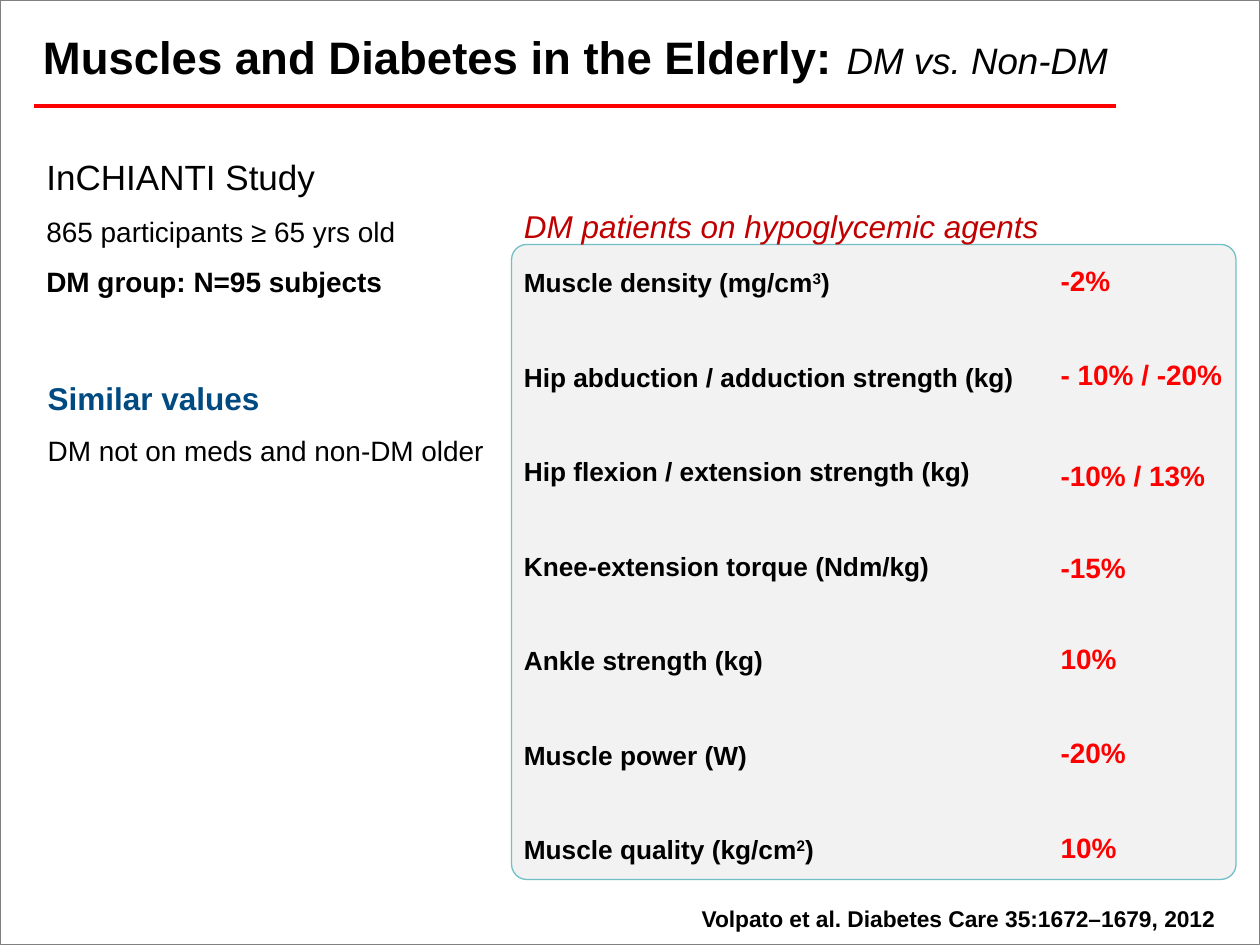
import dataclasses

import pptx
import pptx.dml.color
import pptx.enum.shapes
import pptx.enum.text
import pptx.oxml
import pptx.oxml.ns
import pptx.util


@dataclasses.dataclass(frozen=True)
class Theme:
    font: str = "Arial"
    ink: str = "000000"
    accent: str = "FF0000"
    heading: str = "004A82"
    caption: str = "C00000"
    panel: str = "F2F2F2"
    panel_edge: str = "72BFC5"
    frame: str = "808080"
    title_size: int = 26
    subtitle_size: int = 21
    study_size: int = 20
    heading_size: int = 18
    body_size: int = 16
    measure_size: int = 15
    citation_size: int = 13
    loose: float = 1.5


THEME = Theme()
COLUMNS, ROWS = 100, 75


def rgb(value):
    return pptx.dml.color.RGBColor.from_string(value)


def add_text(paragraph, text, size=THEME.body_size, color=THEME.ink,
             bold=False, italic=False, raised=False):
    run = paragraph.add_run()
    run.text = text
    run.font.name = THEME.font
    run.font.size = pptx.util.Pt(size)
    run.font.color.rgb = rgb(color)
    run.font.bold = bold
    run.font.italic = italic
    if raised:
        run.font._element.set("baseline", "30000")


class SlideBuilder:
    def __init__(self, deck, theme):
        self.theme = theme
        self.column = deck.slide_width / COLUMNS
        self.row = deck.slide_height / ROWS
        self.slide = deck.slides.add_slide(deck.slide_layouts[5])

    def place(self, left, top, width, height):
        return (round(left * self.column), round(top * self.row),
                round(width * self.column), round(height * self.row))

    def title(self, area, runs):
        heading = self.slide.shapes.title
        heading.left, heading.top, heading.width, heading.height = self.place(*area)
        self.fill_frame(heading.text_frame, [(runs, 0)], 1)

    def fill_frame(self, frame, lines, spacing):
        frame.word_wrap = True
        frame.auto_size = pptx.enum.text.MSO_AUTO_SIZE.NONE
        frame.vertical_anchor = pptx.enum.text.MSO_ANCHOR.TOP
        for index, (runs, gap) in enumerate(lines):
            paragraph = frame.add_paragraph() if index else frame.paragraphs[0]
            paragraph.alignment = pptx.enum.text.PP_ALIGN.LEFT
            paragraph.line_spacing = spacing
            paragraph.space_before = pptx.util.Pt(gap)
            for text, style in runs:
                add_text(paragraph, text, **style)

    def text(self, area, lines, spacing=THEME.loose):
        box = self.slide.shapes.add_textbox(*self.place(*area))
        self.fill_frame(box.text_frame, lines, spacing)

    def panel(self, area, kind, edge, weight, fill=None, corner=None):
        shape = self.slide.shapes.add_shape(kind, *self.place(*area))
        shape.shadow.inherit = False
        if corner is not None:
            shape.adjustments[0] = corner
        if fill:
            shape.fill.solid()
            shape.fill.fore_color.rgb = rgb(fill)
        else:
            shape.fill.background()
        shape.line.color.rgb = rgb(edge)
        shape.line.width = pptx.util.Pt(weight)

    def rule(self, left, top, width, color, weight):
        x, y, length, _ = self.place(left, top, width, 0)
        line = self.slide.shapes.add_connector(
            pptx.enum.shapes.MSO_CONNECTOR.STRAIGHT, x, y, x + length, y)
        line.line.color.rgb = rgb(color)
        line.line.width = pptx.util.Pt(weight)
        line._element.spPr.append(
            pptx.oxml.parse_xml(f"<a:effectLst {pptx.oxml.ns.nsdecls('a')}/>"))


MEASURES = [
    ("Muscle density (mg/cm", "3", ")", "-2%", 0),
    ("Hip abduction / adduction strength (kg)", "", "", "- 10% / -20%", 25.2),
    ("Hip flexion / extension strength (kg)", "", "", "-10% / 13%", 28.8),
    ("Knee-extension torque (Ndm/kg)", "", "", "-15%", 23.4),
    ("Ankle strength (kg)", "", "", "10%", 23.4),
    ("Muscle power (W)", "", "", "-20%", 25.2),
    ("Muscle quality (kg/cm", "2", ")", "10%", 25.2),
]
MEASURE_GAP = 27


def measure_lines():
    style = dict(size=THEME.measure_size, bold=True)
    for index, (name, power, tail, _, _) in enumerate(MEASURES):
        runs = [(name, style)]
        if power:
            runs += [(power, dict(style, raised=True)), (tail, style)]
        yield runs, MEASURE_GAP if index else 0


def change_lines():
    style = dict(color=THEME.accent, bold=True)
    for *_, change, gap in MEASURES:
        yield [(change, style)], gap


def main():
    deck = pptx.Presentation()
    deck.slide_width = pptx.util.Inches(10)
    deck.slide_height = pptx.util.Inches(7.5)
    page = SlideBuilder(deck, THEME)
    shapes = pptx.enum.shapes.MSO_SHAPE

    page.panel((0, 0, COLUMNS, ROWS), shapes.RECTANGLE, THEME.frame, 0.5)
    page.panel((40.6, 19.4, 57.5, 50.4), shapes.ROUNDED_RECTANGLE,
               THEME.panel_edge, 0.75, THEME.panel, 0.024)
    page.title((2.4, 1.5, 91.7, 5.7), [
        ("Muscles and Diabetes in the Elderly:", dict(size=THEME.title_size, bold=True)),
        (" ", dict(size=28, bold=True)),
        ("DM vs. Non-DM", dict(size=THEME.subtitle_size, italic=True)),
    ])
    page.rule(2.7, 8.4, 85.9, THEME.accent, 2.25)
    page.text((2.7, 10.2, 36, 14.1), [
        ([("InCHIANTI Study", dict(size=THEME.study_size))], 0),
        ([("865 participants ≥ 65 yrs old", {})], 0),
        ([("DM group: N=95 subjects", dict(bold=True))], 0),
    ])
    page.text((2.8, 28.1, 37.8, 9.6), [
        ([("Similar values", dict(size=THEME.heading_size, color=THEME.heading,
                                  bold=True))], 0),
        ([("DM not on meds and non-DM older", {})], 0),
    ])
    page.text((40.6, 14.4, 59.4, 5), [
        ([("DM patients on hypoglycemic agents",
           dict(size=THEME.heading_size, color=THEME.caption, italic=True))], 0),
    ])
    page.text((40.6, 19.4, 54.3, 49.8), measure_lines())
    page.text((83.2, 19.1, 15.7, 50.7), change_lines())
    page.text((54.7, 71.3, 43.2, 3.2), [
        ([("Volpato et al. Diabetes Care 35:1672–1679, 2012",
           dict(size=THEME.citation_size, bold=True))], 0),
    ], spacing=1)
    deck.save("out.pptx")


if __name__ == "__main__":
    main()
